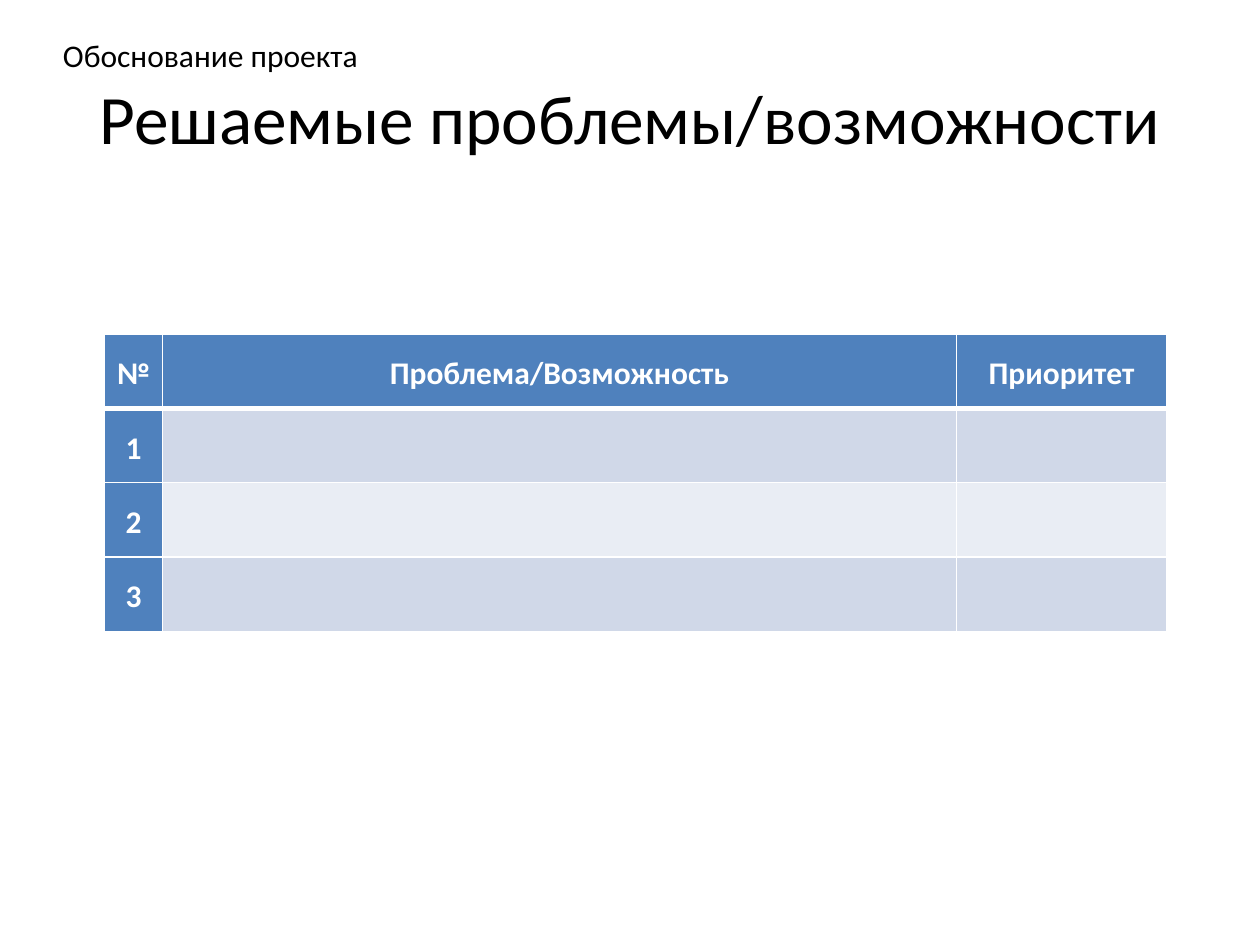
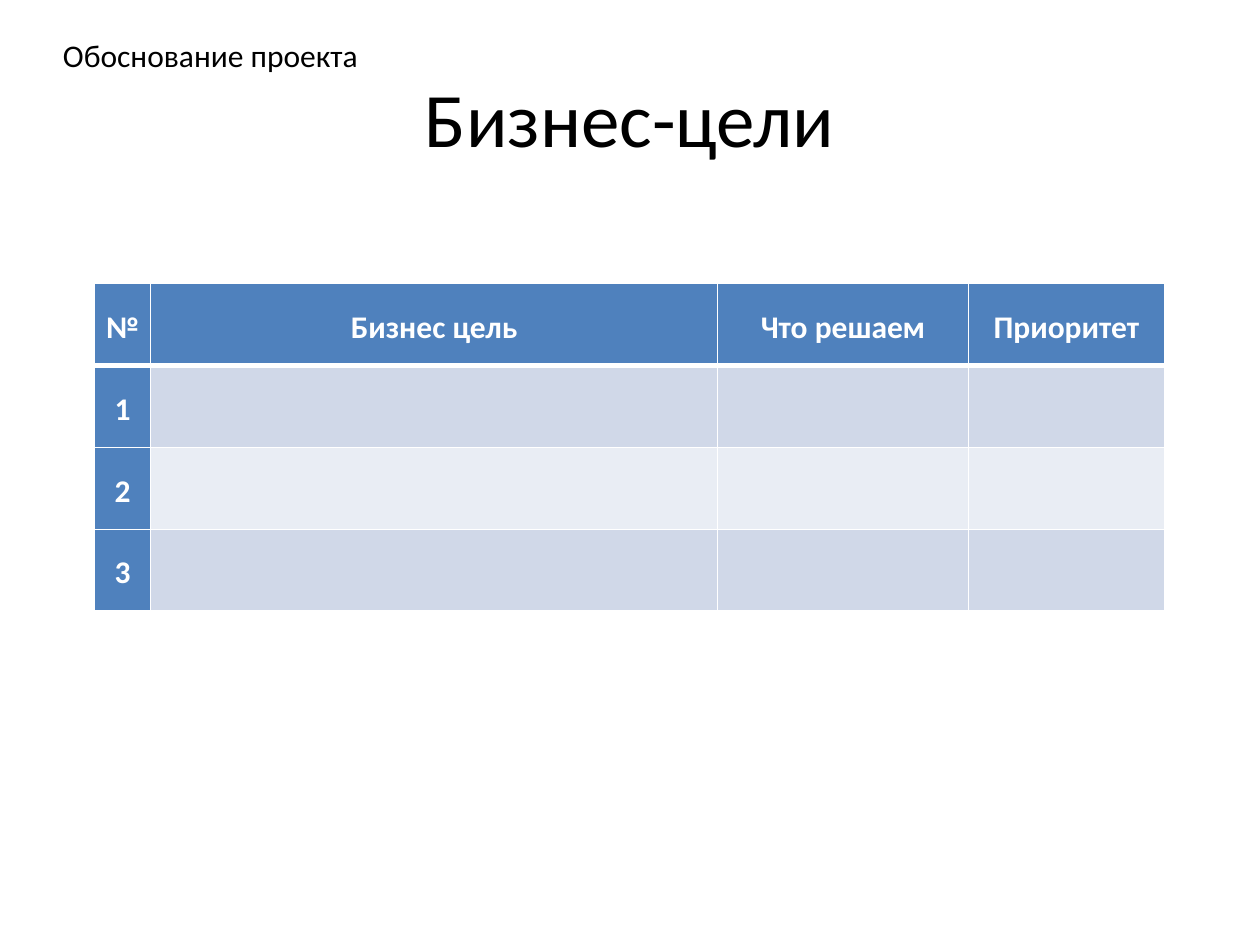
import pptx
import pptx.dml.color
import pptx.enum.text
import pptx.oxml
import pptx.oxml.ns
import pptx.util
from lxml import etree

Cm = pptx.util.Cm
Pt = pptx.util.Pt
RGB = pptx.dml.color.RGBColor
ALIGN = pptx.enum.text.PP_ALIGN
MIDDLE = pptx.enum.text.MSO_ANCHOR.MIDDLE

BLACK = RGB(0x00, 0x00, 0x00)
WHITE = RGB(0xFF, 0xFF, 0xFF)
BLUE = RGB(0x4F, 0x81, 0xBD)
BANDS = [RGB(0xD0, 0xD8, 0xE8), RGB(0xE9, 0xED, 0xF4)]
FONT = "Calibri"
TOPIC = "Обоснование проекта"

# title, title size, table left, top, row height, columns (head, width); in cm
PAGES = [
    ("Решаемые проблемы/возможности", 39.6, 2.11, 6.73, 1.5,
     [("№", 1.17), ("Проблема/Возможность", 16.0), ("Приоритет", 4.24)]),
    ("Бизнес-цели", 44, 1.9, 5.72, 1.65,
     [("№", 1.14), ("Бизнес цель", 11.43), ("Что решаем", 5.05),
      ("Приоритет", 3.96)]),
]


def write(frame, text, size, color, align, bold=False):
    par = frame.paragraphs[0]
    par.alignment = align
    run = par.add_run()
    run.text = text
    run.font.name = FONT
    run.font.size = Pt(size)
    run.font.bold = bold
    run.font.color.rgb = color
    return par


def edge(cell, side, width):
    """Draw one white cell border; side is L, R, T or B."""
    qn = pptx.oxml.ns.qn
    props = cell._tc.get_or_add_tcPr()
    line = etree.SubElement(props, qn("a:ln" + side), w=str(Pt(width)))
    fill = etree.SubElement(line, qn("a:solidFill"))
    etree.SubElement(fill, qn("a:srgbClr"), val=str(WHITE))


deck = pptx.Presentation()
deck.slide_width = Cm(25.4)
deck.slide_height = Cm(19.05)

for title, size, left, top, height, cols in PAGES:
    slide = deck.slides.add_slide(deck.slide_layouts[6])

    head = slide.shapes.add_textbox(Cm(1.27), Cm(0.76), Cm(22.86), Cm(3.18))
    head.text_frame.word_wrap = True
    head.text_frame.vertical_anchor = MIDDLE
    write(head.text_frame, title, size, BLACK, ALIGN.CENTER)

    rows = [[name for name, width in cols]]
    rows += [[str(num)] + [""] * (len(cols) - 1) for num in (1, 2, 3)]
    total = sum(width for name, width in cols)
    table = slide.shapes.add_table(len(rows), len(cols), Cm(left), Cm(top),
                                   Cm(total), Cm(height * len(rows))).table
    for col, (name, width) in zip(table.columns, cols):
        col.width = Cm(width)

    for r, row in enumerate(rows):
        table.rows[r].height = Cm(height)
        for c, text in enumerate(row):
            cell = table.cell(r, c)
            edge(cell, "L", 1)
            edge(cell, "R", 1)
            edge(cell, "T", 3 if r == 1 else 1)
            edge(cell, "B", 3 if r == 0 else 1)
            cell.fill.solid()
            cell.fill.fore_color.rgb = BLUE if text else BANDS[(r - 1) % 2]
            if text:
                cell.vertical_anchor = MIDDLE
                cell.margin_left = cell.margin_right = Cm(0.18)
                cell.margin_top = cell.margin_bottom = 0
                par = write(cell.text_frame, text, 18, WHITE, ALIGN.CENTER, True)
                par.line_spacing = 1.15

    topic = slide.shapes.add_textbox(Cm(1.02), Cm(0.61), Cm(6.53), Cm(1.02))
    topic.text_frame.word_wrap = False
    write(topic.text_frame, TOPIC, 18, BLACK, ALIGN.LEFT)

deck.save("out.pptx")
